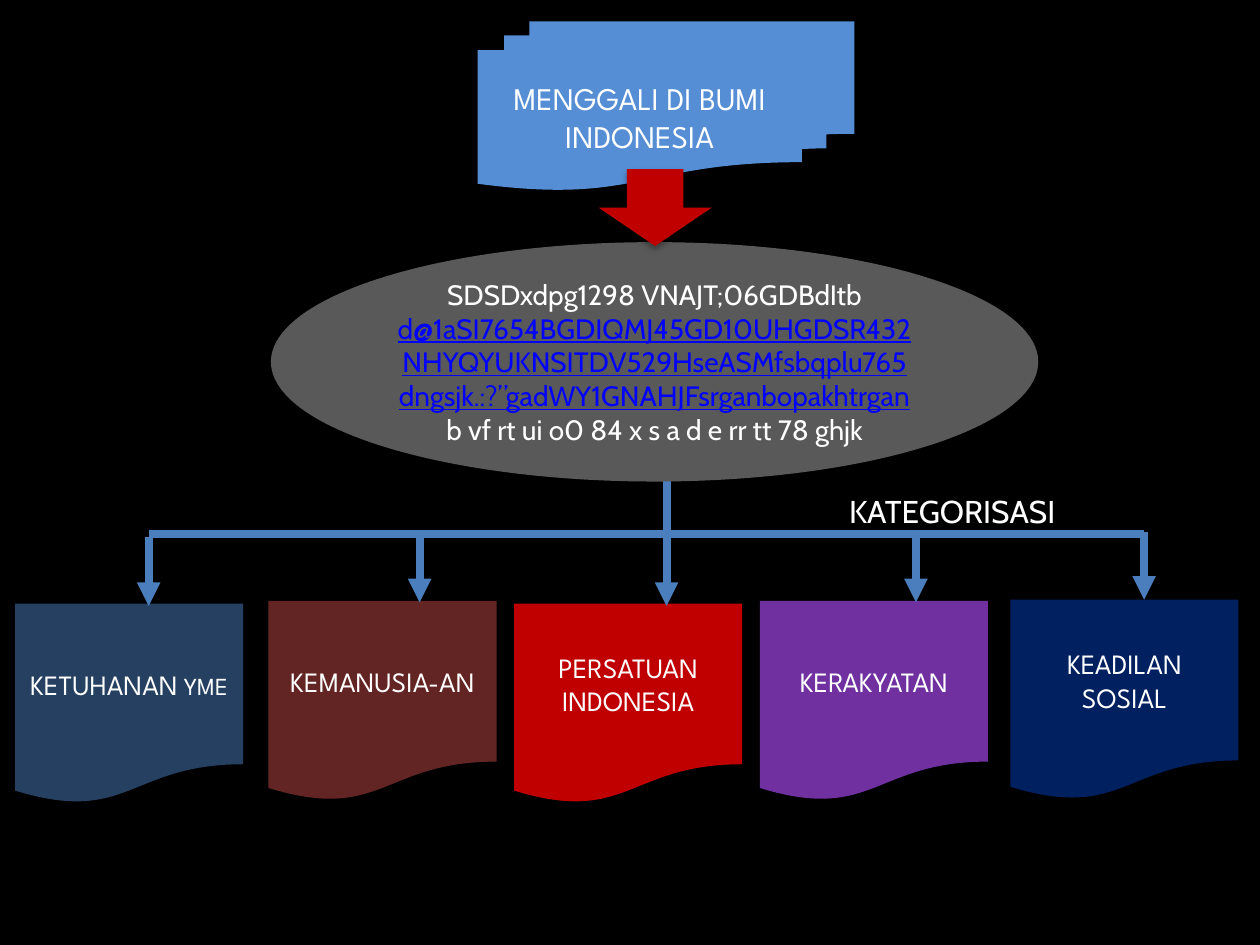
from dataclasses import dataclass

from lxml import etree
from pptx import Presentation
from pptx.dml.color import RGBColor
from pptx.enum.shapes import MSO_CONNECTOR, MSO_SHAPE
from pptx.enum.text import MSO_ANCHOR, MSO_AUTO_SIZE, PP_ALIGN
from pptx.oxml.ns import qn
from pptx.util import Pt

DOCUMENT = MSO_SHAPE.FLOWCHART_DOCUMENT
MULTIDOCUMENT = MSO_SHAPE.FLOWCHART_MULTIDOCUMENT
ELLIPSE = MSO_SHAPE.OVAL
DOWN_ARROW = MSO_SHAPE.DOWN_ARROW
STRAIGHT = MSO_CONNECTOR.STRAIGHT
MIDDLE = MSO_ANCHOR.MIDDLE
CENTER = PP_ALIGN.CENTER

HEADING, BODY = "League Spartan", "Cabin"
WHITE, LINK, LINE = "FFFFFF", "0000FF", "4B7EBC"
BOX_W, BOX_H = 130.3, 114.5
BAR_Y = 305.3


@dataclass
class Run:
    text: str
    size: float
    font: str = HEADING
    color: str = WHITE
    underline: bool = False


@dataclass
class Category:
    runs: list[Run]
    fill: str
    left: float
    top: float
    arrow_x: float
    arrow_top: float
    arrow_end: float


CATEGORIES = [
    Category([Run("KETUHANAN", 16), Run(" YME", 14)], "254061",
             8.6, 344.9, 85, 306.7, 346.3),
    Category([Run("KEMANUSIA-AN", 16)], "632523",
             153.4, 343.4, 239.8, BAR_Y, 344.2),
    Category([Run("PERSATUAN INDONESIA", 16)], "C00000",
             293.8, 344.9, 380.9, 243.4, 346.3),
    Category([Run("KERAKYATAN", 16)], "7030A0",
             434.2, 343.4, 523.4, BAR_Y, 344.2),
    Category([Run("KEADILAN SOSIAL", 16)], "002060",
             577.4, 342.7, 653.8, 303.8, 342.7),
]


def rgb(value: str) -> RGBColor:
    return RGBColor.from_string(value)


def add_runs(p, runs: list[Run]) -> None:
    for run in runs:
        r = p.add_run()
        r.text = run.text
        r.font.size = Pt(run.size)
        r.font.name = run.font
        r.font.color.rgb = rgb(run.color)
        if run.underline:
            r.font.underline = True


def add_block(s, kind, left: float, top: float, width: float, height: float,
              fill: str, runs: list[Run]):
    sp = s.shapes.add_shape(kind, Pt(left), Pt(top), Pt(width), Pt(height))
    sp.shadow.inherit = False
    sp.fill.solid()
    sp.fill.fore_color.rgb = rgb(fill)
    sp.line.fill.background()
    tf = sp.text_frame
    tf.word_wrap = True
    tf.vertical_anchor = MIDDLE
    p = tf.paragraphs[0]
    p.alignment = CENTER
    add_runs(p, runs)
    return sp


def add_line(s, x1: float, y1: float, x2: float, y2: float,
             arrow: bool = False) -> None:
    cx = s.shapes.add_connector(STRAIGHT, Pt(x1), Pt(y1), Pt(x2), Pt(y2))
    cx.line.color.rgb = rgb(LINE)
    cx.line.width = Pt(4.5)
    if arrow:
        etree.SubElement(cx.line._get_or_add_ln(), qn("a:tailEnd"), type="triangle")
    etree.SubElement(cx._element.spPr, qn("a:effectLst"))


def add_soft_shadow(sp) -> None:
    effects = sp._element.spPr.find(qn("a:effectLst"))
    shadow = etree.SubElement(effects, qn("a:outerShdw"), blurRad=str(Pt(3.5)),
                              dist=str(Pt(2.2)), dir="5400000", rotWithShape="0")
    color = etree.SubElement(shadow, qn("a:srgbClr"), val="000000")
    etree.SubElement(color, qn("a:alpha"), val="32000")


def main() -> None:
    prs = Presentation()
    prs.slide_width, prs.slide_height = Pt(720), Pt(540)
    s = prs.slides.add_slide(prs.slide_layouts[6])
    s.background.fill.solid()
    s.background.fill.fore_color.rgb = rgb("000000")

    # Starting point
    add_block(s, MULTIDOCUMENT, 272.9, 12.2, 215.3, 96.5, "558ED5",
              [Run("MENGGALI DI BUMI INDONESIA", 18)])

    # Five categories
    for c in CATEGORIES:
        add_block(s, DOCUMENT, c.left, c.top, BOX_W, BOX_H, c.fill, c.runs)

    # Branching arrows
    add_line(s, CATEGORIES[0].arrow_x, BAR_Y, CATEGORIES[-1].arrow_x, BAR_Y)
    for c in CATEGORIES:
        add_line(s, c.arrow_x, c.arrow_top, c.arrow_x, c.arrow_end, arrow=True)

    # Raw material
    add_block(s, ELLIPSE, 154.8, 138.4, 438.5, 136.8, "595959", [
        Run("SDSDxdpg1298 VNAJT;06GDBdItb ", 16, BODY),
        Run("d@1aSI7654BGDIQMJ45GD10UHGDSR432NHYQYUKNSITDV529HseASMfsbqplu765"
            "dngsjk.:?”gadWY1GNAHJFsrganbopakhtrgan", 16, BODY, LINK, True),
        Run(" b vf rt ui o0 84 x s a d e rr tt 78 ghjk", 16, BODY),
    ])
    arrow = add_block(s, DOWN_ARROW, 342, 96.6, 64.8, 44, "C00000", [])
    add_soft_shadow(arrow)

    # Branch label
    label = s.shapes.add_textbox(Pt(478.1), Pt(277.9), Pt(142.6), Pt(28.8))
    tf = label.text_frame
    tf.word_wrap = True
    tf.auto_size = MSO_AUTO_SIZE.SHAPE_TO_FIT_TEXT
    add_runs(tf.paragraphs[0], [Run("KATEGORISASI", 18, BODY)])

    prs.save("out.pptx")


if __name__ == "__main__":
    main()
